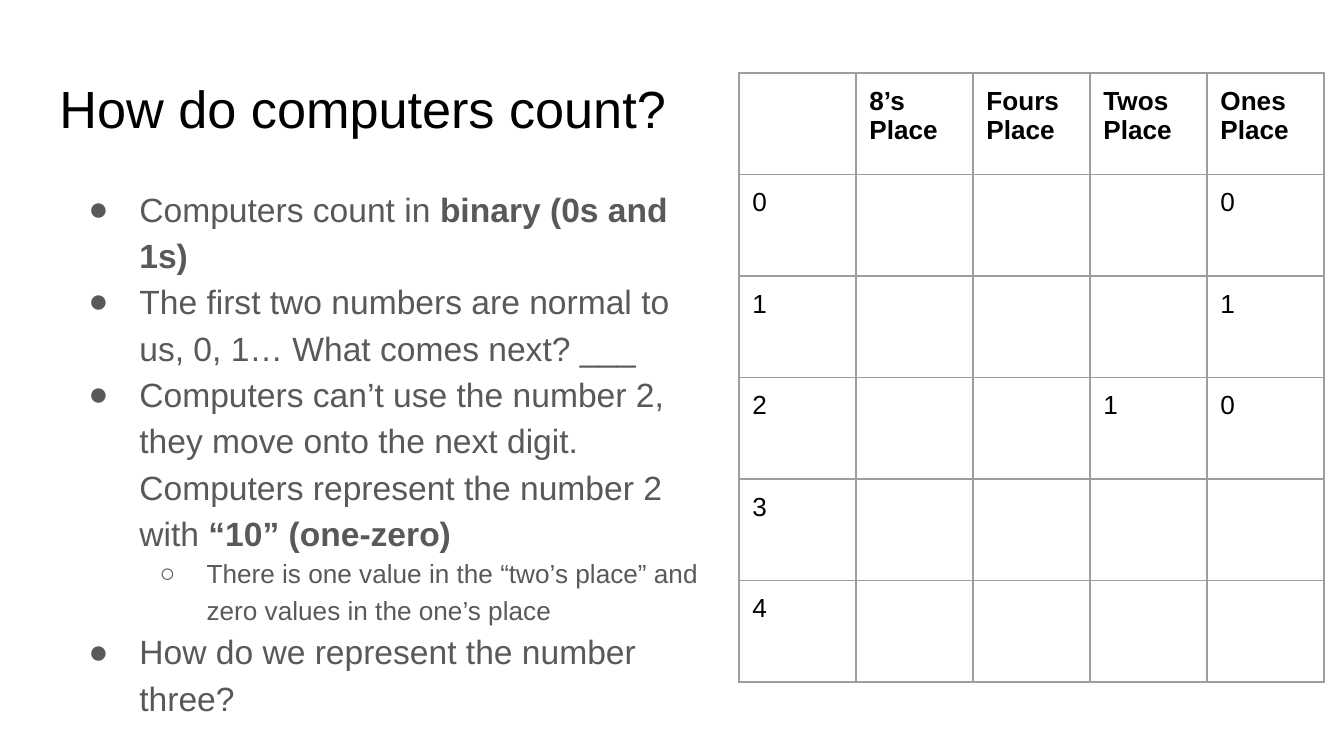
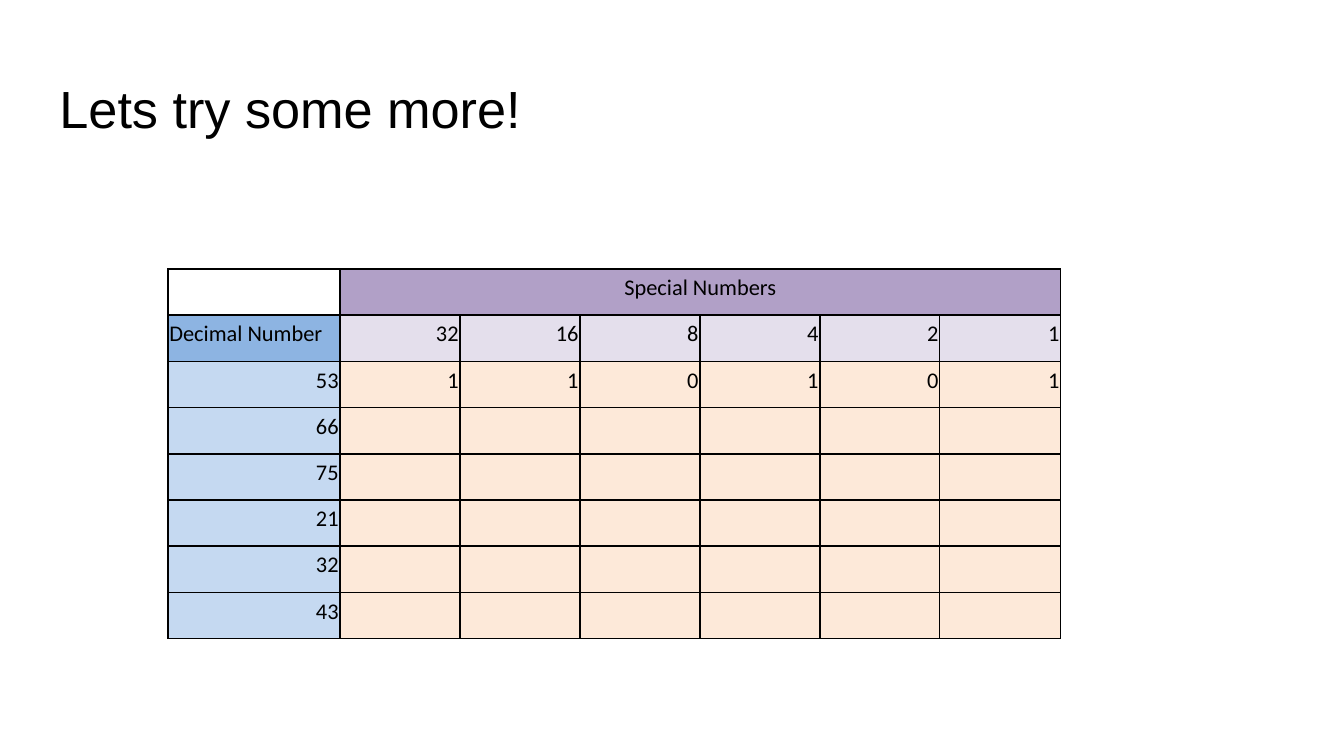
from lxml.etree import SubElement
from pptx import Presentation
from pptx.dml.color import RGBColor
from pptx.enum.text import MSO_ANCHOR, PP_ALIGN
from pptx.oxml.ns import qn
from pptx.util import Emu, Inches, Pt

BLACK = RGBColor(0x00, 0x00, 0x00)
BODY_GRAY = RGBColor(0x59, 0x59, 0x59)
GRID_GRAY = RGBColor(0x9E, 0x9E, 0x9E)
PURPLE = RGBColor(0xB1, 0xA0, 0xC7)
LAVENDER = RGBColor(0xE4, 0xDF, 0xEC)
BLUE = RGBColor(0x8D, 0xB4, 0xE2)
LIGHT_BLUE = RGBColor(0xC5, 0xD9, 0xF1)
PEACH = RGBColor(0xFD, 0xE9, 0xD9)
PIXEL = 914400 / 134.4
BULLETS = [("●", 0.5, 0.38, 18), ("○", 1, 0.35, 14)]


def px(length):
    return Emu(round(length * PIXEL))


class Deck:
    font = "Arial"

    def __init__(self):
        self.presentation = Presentation()
        self.presentation.slide_width = px(1344)
        self.presentation.slide_height = px(756)
        self.slide = None

    def add_slide(self, title):
        self.slide = self.presentation.slides.add_slide(self.presentation.slide_layouts[5])
        shape = self.slide.shapes.title
        shape.left, shape.top, shape.width, shape.height = px(46), px(66), px(1253), px(84)
        self.set_frame(shape.text_frame, MSO_ANCHOR.MIDDLE)
        paragraph = shape.text_frame.paragraphs[0]
        paragraph.alignment = PP_ALIGN.LEFT
        self.add_run(paragraph, title, 28, BLACK)

    def set_frame(self, frame, anchor):
        frame.word_wrap = True
        frame.vertical_anchor = anchor
        frame.margin_left = frame.margin_right = Inches(0.1)
        frame.margin_top = frame.margin_bottom = Inches(0.1)

    def add_run(self, paragraph, text, size, color, bold=False, font=None):
        run = paragraph.add_run()
        run.text = text
        run.font.name = font or self.font
        run.font.size = Pt(size)
        run.font.bold = bold
        run.font.color.rgb = color

    def add_bullets(self, left, top, width, height, items):
        frame = self.slide.shapes.add_textbox(px(left), px(top), px(width), px(height)).text_frame
        self.set_frame(frame, MSO_ANCHOR.TOP)
        for index, (level, runs) in enumerate(items):
            paragraph = frame.add_paragraph() if index else frame.paragraphs[0]
            mark, margin, hanging, size = BULLETS[level]
            paragraph.level = level
            paragraph.line_spacing = 1.15
            properties = paragraph._p.get_or_add_pPr()
            properties.set("marL", str(Inches(margin)))
            properties.set("indent", str(-Inches(hanging)))
            color = SubElement(properties, qn("a:buClr"))
            SubElement(color, qn("a:srgbClr"), val=str(BODY_GRAY))
            SubElement(properties, qn("a:buFont"), typeface=self.font)
            SubElement(properties, qn("a:buChar"), char=mark)
            for text, bold in runs:
                self.add_run(paragraph, text, size, BODY_GRAY, bold)

    def add_table(self, left, top, widths, height, row_count):
        table = self.slide.shapes.add_table(
            row_count, len(widths), px(left), px(top), px(sum(widths)), px(height)).table
        table.first_row = table.horz_banding = False
        for column, width in zip(table.columns, widths):
            column.width = px(width)
        for row in table.rows:
            row.height = px(height / row_count)
        return table

    def fill_cell(self, cell, text, size, border, border_width, fill=None, bold=False,
                  font=None, margin=0.1, top_margin=0.1, alignment=PP_ALIGN.LEFT,
                  spacing=1.0, anchor=MSO_ANCHOR.TOP):
        cell.margin_left = cell.margin_right = Inches(margin)
        cell.margin_top, cell.margin_bottom = Inches(top_margin), Inches(0.1)
        cell.vertical_anchor = anchor
        properties = cell._tc.get_or_add_tcPr()
        for side in ("lnL", "lnR", "lnT", "lnB"):
            line = SubElement(properties, qn("a:" + side), w=str(Pt(border_width)))
            solid = SubElement(line, qn("a:solidFill"))
            SubElement(solid, qn("a:srgbClr"), val=str(border))
        if fill is None:
            cell.fill.background()
        else:
            cell.fill.solid()
            cell.fill.fore_color.rgb = fill
        paragraph = cell.text_frame.paragraphs[0]
        paragraph.alignment = alignment
        paragraph.line_spacing = spacing
        if text:
            self.add_run(paragraph, text, size, BLACK, bold, font)
        else:
            SubElement(paragraph._p, qn("a:endParaRPr"), sz=str(size * 100))

    def add_place_table(self, rows):
        table = self.add_table(739, 73, [117] * 5, 609, len(rows))
        for row_index, row in enumerate(rows):
            for column_index, text in enumerate(row):
                self.fill_cell(table.cell(row_index, column_index), text, 14,
                               GRID_GRAY, 0.75, bold=row_index == 0)

    def add_number_table(self, places, numbers, answers):
        rows = [["", "Special Numbers"], ["Decimal Number", *places]]
        rows += [[number] for number in numbers]
        rows[2] += answers
        table = self.add_table(168, 269, [172] + [120] * 5 + [121], 369, len(rows))
        fills = [(None, PURPLE), (BLUE, LAVENDER)] + [(LIGHT_BLUE, PEACH)] * len(numbers)
        for row_index, (row, row_fills) in enumerate(zip(rows, fills)):
            for column_index in range(len(places) + 1):
                text = row[column_index] if column_index < len(row) else ""
                alignment = PP_ALIGN.RIGHT
                if row_index == 0:
                    alignment = PP_ALIGN.CENTER
                elif text == "Decimal Number":
                    alignment = PP_ALIGN.LEFT
                self.fill_cell(table.cell(row_index, column_index), text, 12, BLACK, 0.94,
                               row_fills[column_index > 0], font="Calibri", margin=0.01,
                               top_margin=0.01, alignment=alignment, spacing=1.15,
                               anchor=MSO_ANCHOR.BOTTOM)
        table.cell(0, 1).merge(table.cell(0, len(places)))


deck = Deck()

deck.add_slide("How do computers count?")
deck.add_bullets(59, 169, 665, 503, [
    (0, [("Computers count in ", False), ("binary (0s and 1s)", True)]),
    (0, [("The first two numbers are normal to us, 0, 1… What comes next? ___", False)]),
    (0, [("Computers can’t use the number 2, they move onto the next digit. "
          "Computers represent the number 2 with ", False), ("“10” (one-zero)", True)]),
    (1, [("There is one value in the “two’s place” and zero values in the one’s place", False)]),
    (0, [("How do we represent the number three? ", False)]),
])
deck.add_place_table([
    ["", "8’s Place", "Fours Place", "Twos Place", "Ones Place"],
    ["0", "", "", "", "0"],
    ["1", "", "", "", "1"],
    ["2", "", "", "1", "0"],
    ["3", "", "", "", ""],
    ["4", "", "", "", ""],
])

deck.add_slide("Lets try some more!")
deck.add_number_table(["32", "16", "8", "4", "2", "1"],
                      ["53", "66", "75", "21", "32", "43"],
                      ["1", "1", "0", "1", "0", "1"])

deck.presentation.save("out.pptx")
